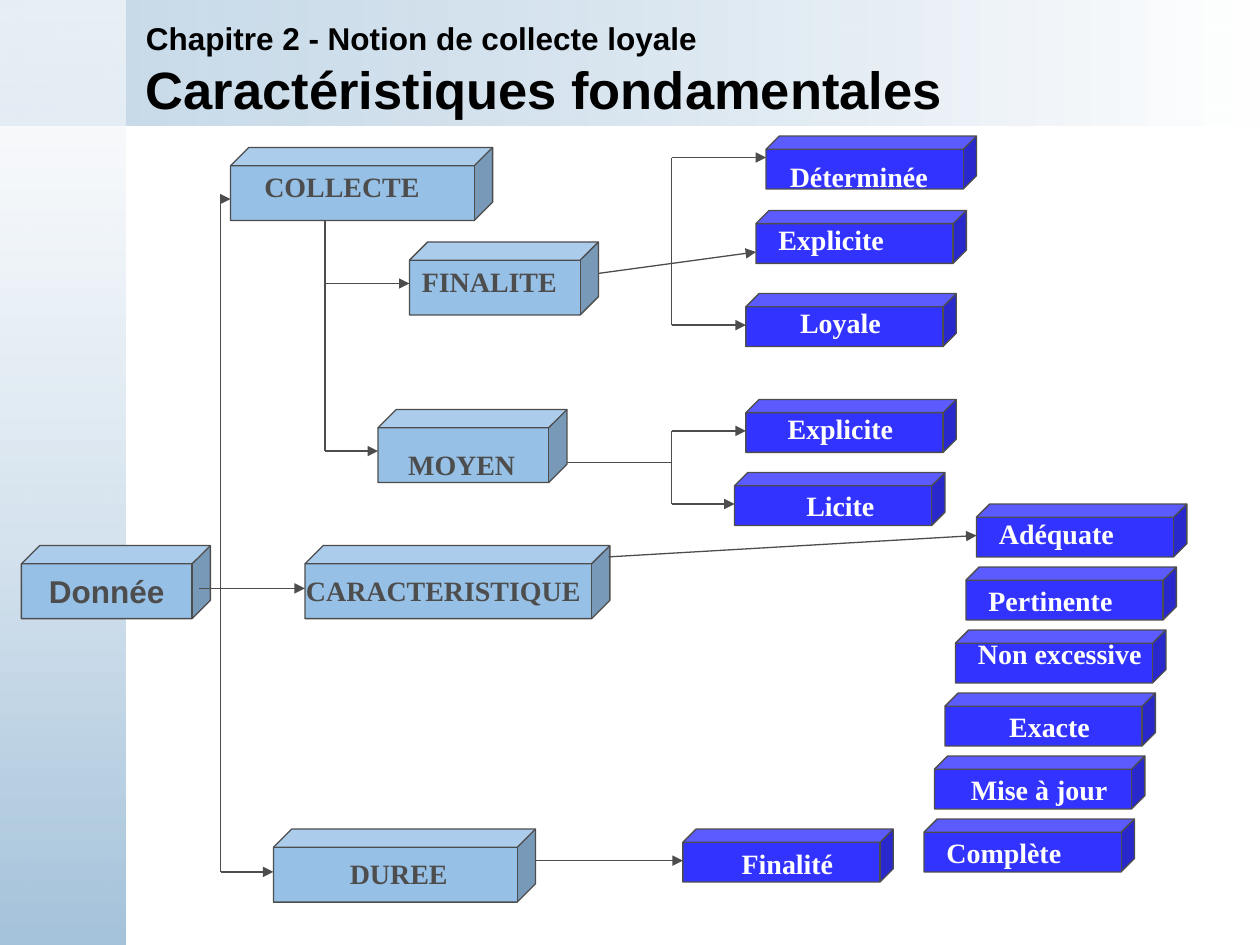
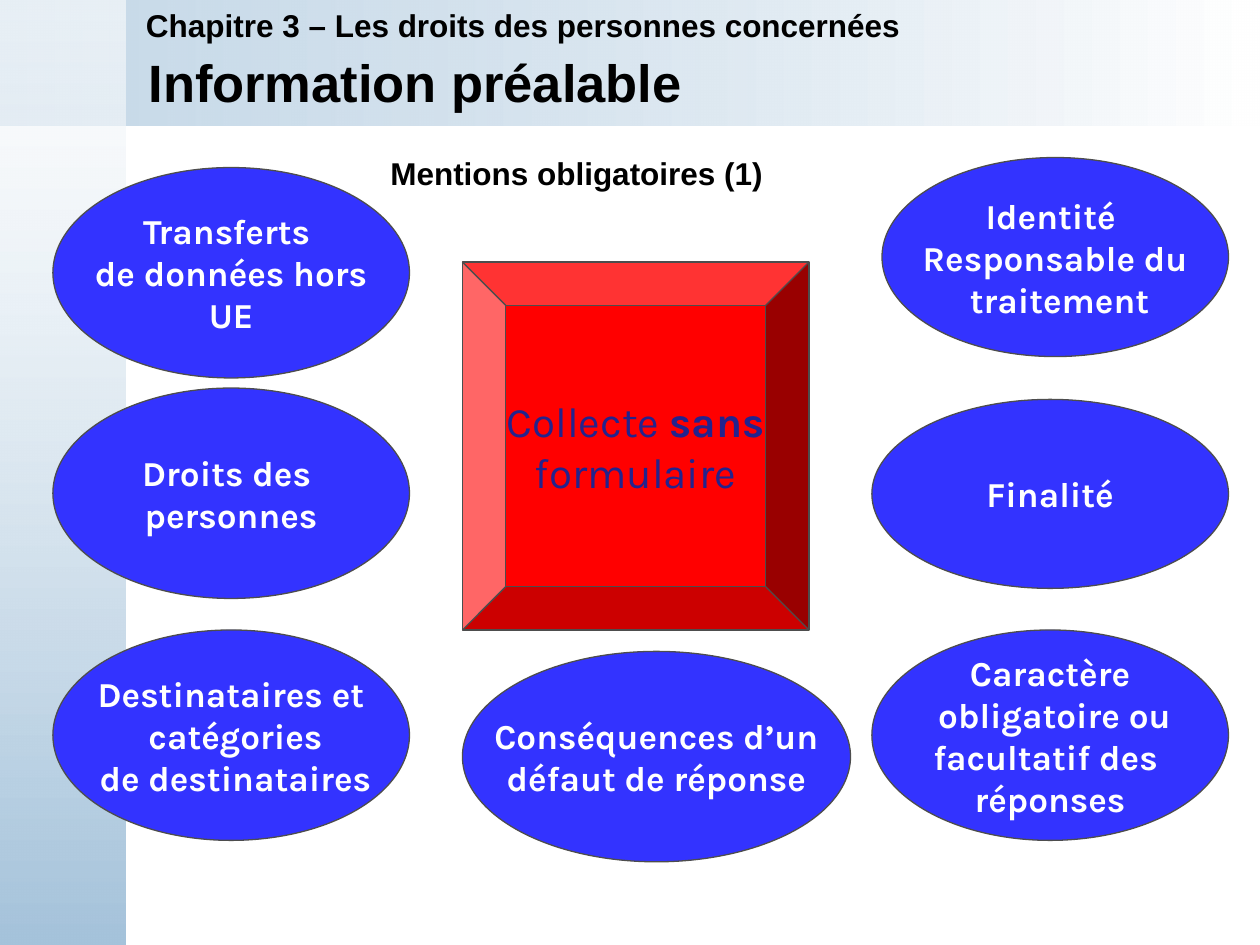
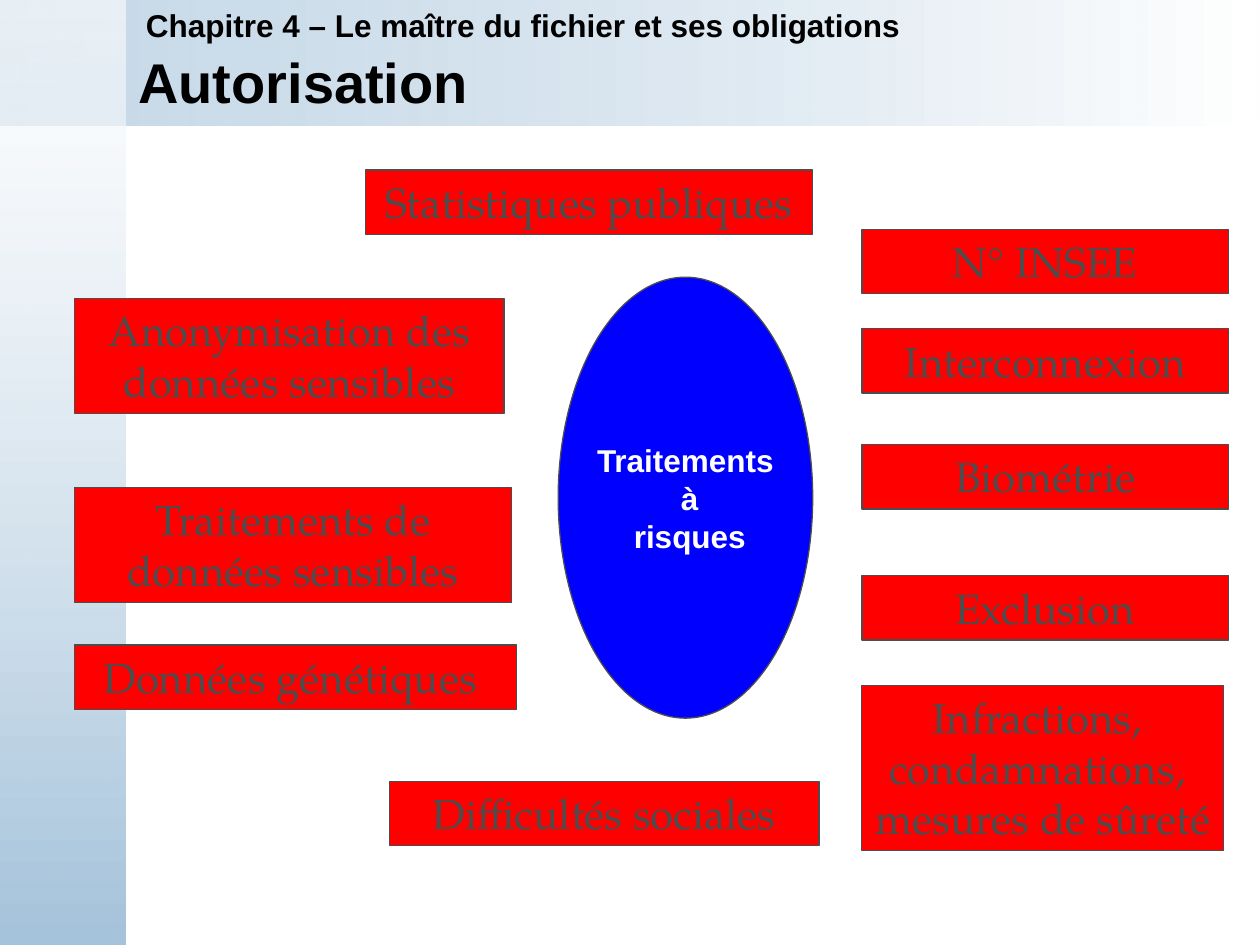
from lxml.etree import SubElement
from pptx import Presentation
from pptx.dml.color import RGBColor
from pptx.enum.shapes import MSO_CONNECTOR as Link, MSO_SHAPE as Preset
from pptx.enum.text import MSO_ANCHOR as Anchor, PP_ALIGN as Align
from pptx.oxml.ns import qn
from pptx.util import Inches, Pt

BLACK, WHITE, GREY = "000000", "FFFFFF", "4D4D4D"
BLUE, DEEP_BLUE, NAVY, SKY, MIST = "3333FF", "0000FF", "23238D", "96C0E6", "A5C3DB"
RED = "FF0000"
SANS, SERIF, ROUND, BOOK = "Arial", "Times New Roman", "Karla", "TeX Gyre Pagella"


def rgb(value):
    """Turn a hex string into a colour."""
    return RGBColor.from_string(value)


def write(frame, text, font=SANS, size=18, color=BLACK, bold=True,
          align=Align.LEFT, anchor=Anchor.MIDDLE, wrap=True):
    """Fill a frame with one paragraph per line; a line may be a list of (text, bold) spans."""
    frame.word_wrap = wrap
    frame.vertical_anchor = anchor
    for index, line in enumerate(text.split("\n") if isinstance(text, str) else text):
        para = frame.paragraphs[0] if index == 0 else frame.add_paragraph()
        para.alignment = align
        for words, strong in [(line, bold)] if isinstance(line, str) else line:
            span = para.add_run()
            span.text = words
            span.font.name = font
            span.font.size = Pt(size)
            span.font.bold = strong
            span.font.color.rgb = rgb(color)


class Deck:
    """Holds the shared style and the current slide."""

    def __init__(self):
        """Start an empty 10 by 7.5 inch deck."""
        self.deck = Presentation()
        self.deck.slide_width, self.deck.slide_height = Inches(10), Inches(7.5)
        self.page = None

    def add_page(self, chapter, title, chapter_top=0, title_left=1.06, title_top=0.36, size=30):
        """Open a slide with its two bands, chapter line and title."""
        self.page = self.deck.slides.add_slide(self.deck.slide_layouts[6])
        self.band(10, 1, MIST, WHITE, 62, 0)
        self.band(1, 7.5, WHITE, MIST, 59, 270)
        self.text(chapter, 1.06, chapter_top, 8.94, 0.4, anchor=Anchor.TOP)
        self.text(title, title_left, title_top, 10 - title_left, 0.57, size=size)

    def shape(self, preset, left, top, width, height):
        """Add a preset shape without shadow."""
        box = self.page.shapes.add_shape(
            preset, Inches(left), Inches(top), Inches(width), Inches(height))
        box.shadow.inherit = False
        return box

    def band(self, width, height, start, end, opacity, angle):
        """Add a gradient band at the top left corner, translucent at its start."""
        box = self.shape(Preset.RECTANGLE, 0, 0, width, height)
        box.line.fill.background()
        box.fill.gradient()
        box.fill.gradient_angle = angle
        for stop, color in zip(box.fill.gradient_stops, (start, end)):
            stop.color.rgb = rgb(color)
        first = next(box._element.spPr.iter(qn("a:srgbClr")))
        SubElement(first, qn("a:alpha"), val=str(opacity * 1000))

    def text(self, text, left, top, width, height, **style):
        """Add a text box."""
        box = self.page.shapes.add_textbox(
            Inches(left), Inches(top), Inches(width), Inches(height))
        write(box.text_frame, text, **style)

    def block(self, preset, text, left, top, width, height, fill, **style):
        """Add a filled and outlined shape with centred text."""
        box = self.shape(preset, left, top, width, height)
        box.fill.solid()
        box.fill.fore_color.rgb = rgb(fill)
        box.line.color.rgb = rgb(GREY)
        box.line.width = Pt(0.75)
        if text:
            write(box.text_frame, text, **{"align": Align.CENTER, "wrap": False, **style})

    def cube(self, text, left, top, width, height, fill, color, shift, label_width, align):
        """Add a cube and its label, shifted from the cube's corner."""
        self.block(Preset.CUBE, "", left, top, width, height, fill)
        self.text(text, left + shift[0], top + shift[1], label_width, 0.37, font=SERIF,
                  size=16, color=color, align=align, anchor=Anchor.TOP)

    def stage(self, text, left, top, width, shift, label_width, align=Align.LEFT):
        """Add a light cube for a stage of the data's life."""
        self.cube(text, left, top, width, 0.58, SKY, GREY, shift, label_width, align)

    def quality(self, text, left, top, shift, align=Align.CENTER):
        """Add a blue cube for a required quality."""
        label_width = 1.5 if align == Align.CENTER else 1.67
        self.cube(text, left, top, 1.67, 0.42, BLUE, WHITE, shift, label_width, align)

    def line(self, x1, y1, x2, y2, arrow=True):
        """Add a straight line, with an arrowhead at its end if asked."""
        link = self.page.shapes.add_connector(
            Link.STRAIGHT, Inches(x1), Inches(y1), Inches(x2), Inches(y2))
        link.line.color.rgb = rgb(GREY)
        link.line.width = Pt(0.75)
        if arrow:
            SubElement(link.line._get_or_add_ln(), qn("a:tailEnd"), type="triangle")
        SubElement(link._element.spPr, qn("a:effectLst"))

    def branch(self, x, start, *tips):
        """Add a vertical stem from start to the last tip, with an arrow to each (x, y) tip."""
        self.line(x, start, x, tips[-1][1], arrow=False)
        for tip_x, tip_y in tips:
            self.line(x, tip_y, tip_x, tip_y)


def build_characteristics(deck):
    """Build the tree of the characteristics of fair collection."""
    deck.add_page("Chapitre 2 - Notion de collecte loyale", "Caractéristiques fondamentales",
                  chapter_top=0.1, title_top=0.42)
    deck.block(Preset.CUBE, "Donnée", 0.17, 4.33, 1.5, 0.58, SKY, color=GREY)
    deck.stage("COLLECTE", 1.83, 1.17, 2.08, (0.17, 0.13), 1.67)
    deck.stage("FINALITE", 3.25, 1.92, 1.5, (0, 0.13), 1.33)
    deck.stage("MOYEN", 3, 3.25, 1.5, (0, 0.25), 1.33, Align.CENTER)
    deck.stage("CARACTERISTIQUE", 2.42, 4.33, 2.42, (-0.09, 0.17), 2.58)
    deck.stage("DUREE", 2.17, 6.58, 2.08, (0.41, 0.17), 1.17, Align.CENTER)

    deck.quality("Déterminée", 6.08, 1.08, (0.09, 0.14), Align.LEFT)
    deck.quality("Explicite", 6, 1.67, (0.08, 0.05), Align.LEFT)
    deck.quality("Loyale", 5.92, 2.33, (0, 0.05))
    deck.quality("Explicite", 5.92, 3.17, (0, 0.05))
    deck.quality("Licite", 5.83, 3.75, (0.09, 0.08))
    deck.quality("Finalité", 5.42, 6.58, (0.08, 0.09))
    cascade = [("Adéquate", 0.05, Align.LEFT), ("Pertinente", 0.08, Align.LEFT),
               ("Non excessive", 0, Align.LEFT), ("Exacte", 0.08, Align.CENTER),
               ("Mise à jour", 0.08, Align.CENTER), ("Complète", 0.08, Align.LEFT)]
    for step, (name, drop, align) in enumerate(cascade):
        deck.quality(name, 7.75 - step / 12, 4 + step / 2, (0.08, drop), align)

    deck.branch(1.75, 1.58, (1.83, 1.58), (2.17, 6.92))
    deck.branch(2.58, 1.75, (3.25, 2.25), (3, 3.58))
    deck.branch(5.33, 1.25, (6.08, 1.25), (5.92, 2.58))
    deck.branch(5.33, 3.42, (5.92, 3.42), (5.83, 4))
    deck.line(4.5, 3.67, 5.33, 3.67, arrow=False)
    for ends in [(1.58, 4.67, 2.42, 4.67), (4.25, 6.83, 5.42, 6.83),
                 (4.75, 2.17, 6, 2), (4.83, 4.42, 7.75, 4.25)]:
        deck.line(*ends)


def build_information(deck):
    """Build the ring of mandatory notices around the collection."""
    deck.add_page("Chapitre 3 – Les droits des personnes concernées", "Information préalable",
                  title_left=1.08)
    deck.text("Mentions obligatoires (1)", 3, 1.08, 3.67, 0.58)
    notices = [
        ("Identité \nResponsable du\n traitement", 7, 1.25, 2.75, 1.58),
        ("Finalité", 6.92, 3.17, 2.83, 1.5),
        ("Caractère\n obligatoire ou\nfacultatif des \nréponses", 6.92, 5, 2.83, 1.67),
        ("Conséquences d’un\ndéfaut de réponse", 3.67, 5.17, 3.08, 1.67),
        ("Destinataires et\n catégories\n de destinataires", 0.42, 5, 2.83, 1.67),
        ("Droits des \npersonnes", 0.42, 3.08, 2.83, 1.67),
        ("Transferts \nde données hors\nUE", 0.42, 1.33, 2.83, 1.67),
    ]
    for notice in notices:
        deck.block(Preset.OVAL, *notice, BLUE, font=ROUND, size=20, color=WHITE)
    deck.block(Preset.BEVEL, [[("Collecte ", False), ("sans", True)], "formulaire"],
               3.67, 2.08, 2.75, 2.92, RED, font=ROUND, size=24, color=NAVY, bold=False)


def build_authorisation(deck):
    """Build the risky processing operations that need authorisation."""
    deck.add_page("Chapitre 4 – Le maître du fichier et ses obligations", "Autorisation",
                  title_left=1, size=32)
    deck.block(Preset.OVAL, "Traitements\n à\n risques", 4.43, 2.2, 2.02, 3.5, DEEP_BLUE,
               color=WHITE)
    risks = [
        ("Statistiques publiques", 2.9, 1.35, 3.55, 0.51),
        ("Difficultés sociales", 3.09, 6.2, 3.41, 0.51),
        ("Anonymisation des données sensibles", 0.59, 2.37, 3.41, 0.91),
        ("Traitements de données sensibles", 0.59, 3.87, 3.47, 0.91),
        ("Données génétiques ", 0.59, 5.12, 3.51, 0.51),
    ]
    right_tops = {"N° INSEE": 1.82, "Interconnexion": 2.61, "Biométrie": 3.53, "Exclusion": 4.57}
    risks += [(name, 6.84, top, 2.91, 0.51) for name, top in right_tops.items()]
    style = dict(font=BOOK, size=24, color=GREY, bold=False, anchor=Anchor.TOP)
    for risk in risks:
        deck.block(Preset.RECTANGLE, *risk, RED, wrap=True, **style)
    deck.block(Preset.RECTANGLE, "Infractions, \ncondamnations, \nmesures de sûreté",
               6.84, 5.44, 2.87, 1.31, RED, **style)


def main():
    """Build the three slides and save them."""
    deck = Deck()
    build_characteristics(deck)
    build_information(deck)
    build_authorisation(deck)
    deck.deck.save("out.pptx")


if __name__ == "__main__":
    main()
